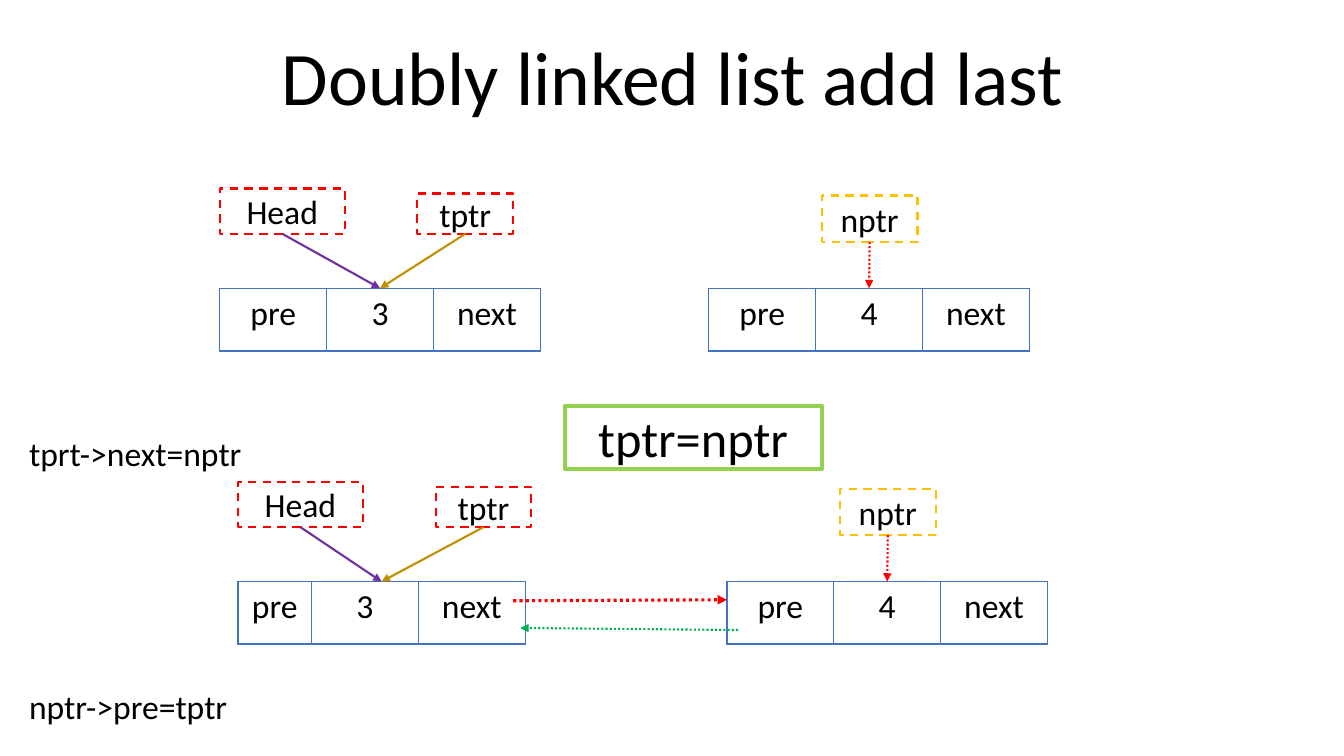
from dataclasses import dataclass

from lxml import etree
from pptx import Presentation
from pptx import util as u
from pptx.dml.color import RGBColor
from pptx.enum import dml, shapes, text
from pptx.oxml import ns

COLORS = {
    "black": "000000", "white": "FFFFFF", "blue": "4472C4", "red": "FF0000",
    "purple": "7030A0", "ochre": "BF9000", "amber": "FFC000",
    "green": "00B050", "lime": "92D050",
}
FONT = "Calibri"
FIELD_WIDTH = 1.06
NODE_HEIGHT = 0.62
DASH = dml.MSO_LINE.DASH
DOTS = dml.MSO_LINE.ROUND_DOT


@dataclass(frozen=True)
class Node:
    """A list node with its pre, value and next fields."""
    left: float
    top: float
    value: str
    pre_width: float = FIELD_WIDTH

    @property
    def widths(self) -> tuple[float, ...]:
        """Widths of the three fields."""
        return self.pre_width, FIELD_WIDTH, FIELD_WIDTH

    @property
    def top_center(self) -> tuple[float, float]:
        """Point where pointers reach the node."""
        return self.left + sum(self.widths) / 2, self.top


@dataclass(frozen=True)
class Pointer:
    """A named box whose arrow leads to a node."""
    name: str
    left: float
    top: float
    width: float
    height: float
    border: str
    arrow: str
    dash: dml.MSO_LINE | None = None


HEAD = Pointer("Head", 2.18, 1.87, 1.24, 0.45, "red", "purple")
TPTR = Pointer("tptr", 4.14, 1.92, 0.95, 0.4, "red", "ochre")
NPTR = Pointer("nptr", 8.15, 1.94, 0.95, 0.46, "amber", "red", DOTS)


def rgb(color: str) -> RGBColor:
    """Look up a colour by name."""
    return RGBColor.from_string(COLORS[color])


def write(frame, words: str, *, size: float = 24, align=text.PP_ALIGN.CENTER,
          anchor=None, spacing: float | None = None) -> None:
    """Put one formatted paragraph into a text frame."""
    frame.word_wrap = True
    if anchor is not None:
        frame.vertical_anchor = anchor
    paragraph = frame.paragraphs[0]
    paragraph.alignment = align
    if spacing is not None:
        paragraph.line_spacing = spacing
    run = paragraph.add_run()
    run.text = words
    run.font.name = FONT
    run.font.size = u.Pt(size)
    run.font.color.rgb = rgb("black")


def add_text(slide, words: str, left: float, top: float, width: float,
             height: float, **style) -> None:
    """Add a free text box."""
    box = slide.shapes.add_textbox(*map(u.Inches, (left, top, width, height)))
    write(box.text_frame, words, spacing=0.9, **style)


def add_box(slide, words: str, left: float, top: float, width: float,
            height: float, border: str, weight: float = 1.5, dash=None,
            size: float = 24) -> None:
    """Add a white bordered rectangle with centred text."""
    box = slide.shapes.add_shape(
        shapes.MSO_SHAPE.RECTANGLE,
        *map(u.Inches, (left, top, width, height)))
    box.shadow.inherit = False
    box.fill.solid()
    box.fill.fore_color.rgb = rgb("white")
    box.line.color.rgb = rgb(border)
    box.line.width = u.Pt(weight)
    if dash is not None:
        box.line.dash_style = dash
    write(box.text_frame, words, size=size, anchor=text.MSO_ANCHOR.MIDDLE)


def add_arrow(slide, start: tuple[float, float], end: tuple[float, float],
              color: str, weight: float = 1.5, dash=None) -> None:
    """Add a straight line with an arrowhead at its end."""
    arrow = slide.shapes.add_connector(
        shapes.MSO_CONNECTOR.STRAIGHT, *map(u.Inches, (*start, *end)))
    arrow.line.color.rgb = rgb(color)
    arrow.line.width = u.Pt(weight)
    if dash is not None:
        arrow.line.dash_style = dash
    outline = arrow.line._get_or_add_ln()
    etree.SubElement(outline, ns.qn("a:tailEnd"), type="triangle")
    etree.SubElement(arrow._element.spPr, ns.qn("a:effectLst"))


def set_borders(cell) -> None:
    """Give a cell blue borders, heavier at the bottom."""
    properties = cell._tc.get_or_add_tcPr()
    for index, (side, weight) in enumerate(
            (("L", 1), ("R", 1), ("T", 1), ("B", 2))):
        border = etree.Element(ns.qn(f"a:ln{side}"), w=str(u.Pt(weight)))
        fill = etree.SubElement(border, ns.qn("a:solidFill"))
        etree.SubElement(fill, ns.qn("a:srgbClr"), val=COLORS["blue"])
        properties.insert(index, border)


def add_node(slide, node: Node) -> None:
    """Add a list node as a one-row table."""
    bounds = (node.left, node.top, sum(node.widths), NODE_HEIGHT)
    table = slide.shapes.add_table(1, 3, *map(u.Inches, bounds)).table
    table.first_row = table.horz_banding = False
    fields = ("pre", node.value, "next")
    for column, (field, width) in enumerate(zip(fields, node.widths)):
        table.columns[column].width = u.Inches(width)
        cell = table.cell(0, column)
        cell.fill.background()
        set_borders(cell)
        write(cell.text_frame, field)


def add_pointer(slide, pointer: Pointer, target: Node,
                dx: float, dy: float) -> None:
    """Add a pointer box, shifted, and its arrow to the target node."""
    left, top = pointer.left + dx, pointer.top + dy
    add_box(slide, pointer.name, left, top, pointer.width, pointer.height,
            pointer.border, dash=DASH)
    start = (left + pointer.width / 2, top + pointer.height)
    add_arrow(slide, start, target.top_center, pointer.arrow,
              dash=pointer.dash)


def add_list(slide, dx: float = 0, dy: float = 0,
             pre_width: float = FIELD_WIDTH) -> None:
    """Add one state of the list: two nodes and their pointers."""
    last = Node(2.18 + dx, 2.86 + dy, "3", pre_width)
    added = Node(7.03 + dx, 2.86 + dy, "4")
    for node, pointers in ((last, (HEAD, TPTR)), (added, (NPTR,))):
        add_node(slide, node)
        for pointer in pointers:
            add_pointer(slide, pointer, node, dx, dy)


def main() -> None:
    """Build and save the slide."""
    deck = Presentation()
    deck.slide_width, deck.slide_height = u.Inches(13.33), u.Inches(7.5)
    slide = deck.slides.add_slide(deck.slide_layouts[6])
    add_text(slide, "Doubly linked list add last", 1.67, 0.34, 10, 0.92,
             size=54, anchor=text.MSO_ANCHOR.BOTTOM)
    for statement, top in (("tprt->next=nptr", 4.29), ("nptr->pre=tptr", 6.8)):
        add_text(slide, statement, 0.19, top, 3, 0.47,
                 align=text.PP_ALIGN.LEFT)
    add_list(slide)
    add_list(slide, dx=0.18, dy=2.91, pre_width=0.73)
    add_arrow(slide, (5.09, 5.96), (7.21, 5.95), "red", 2.25, DOTS)
    add_arrow(slide, (7.32, 6.25), (5.16, 6.23), "green", dash=DOTS)
    add_box(slide, "tptr=nptr", 5.6, 4.03, 2.55, 0.62, "lime", 3, size=36)
    deck.save("out.pptx")


main()
